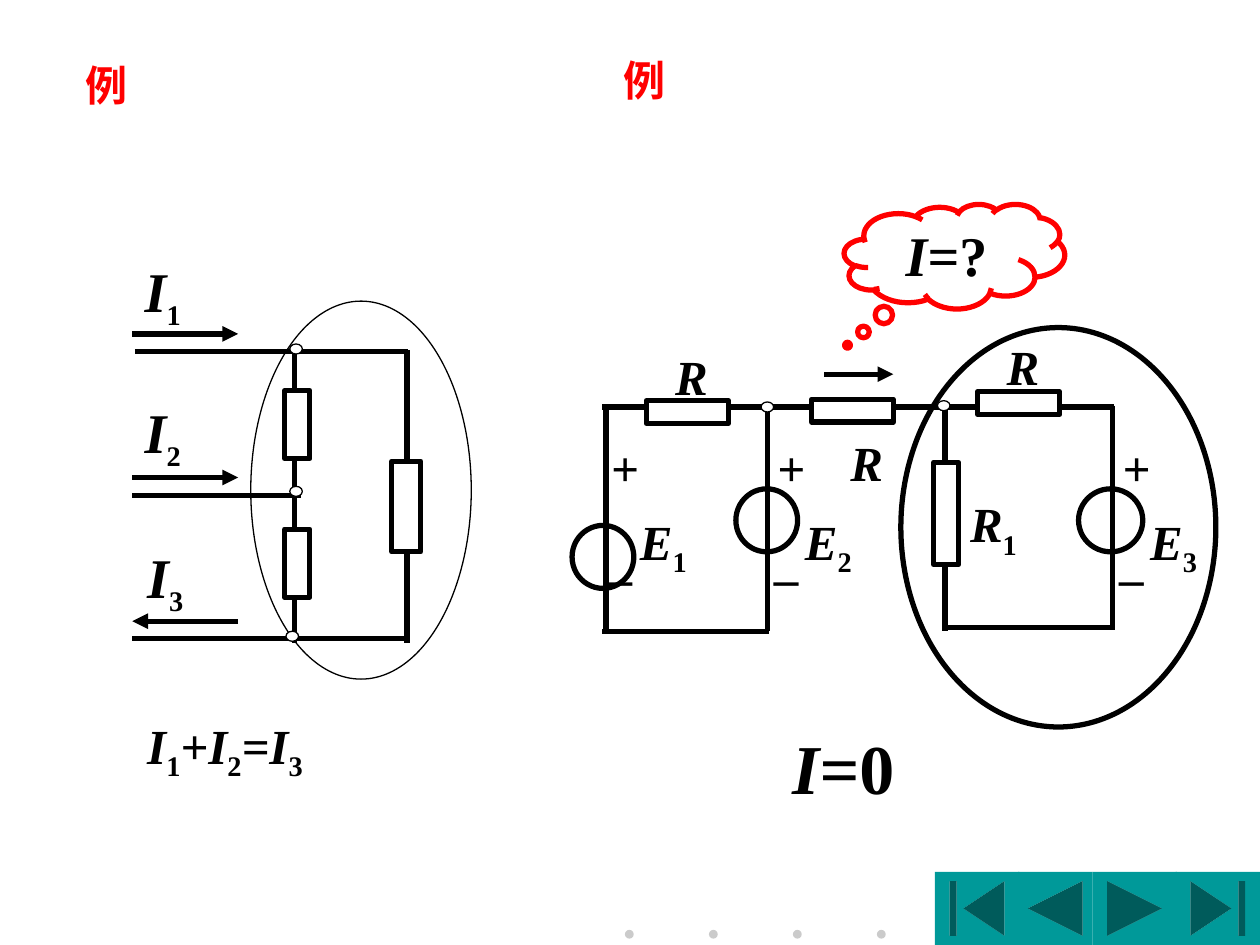
from pptx import Presentation, util as u
from pptx.dml.color import RGBColor
from pptx.enum import shapes as s, text as t
from pptx.oxml.ns import qn
from lxml import etree

BLACK = RGBColor(0, 0, 0)
WHITE = RGBColor(255, 255, 255)
RED = RGBColor(255, 0, 0)
TEAL = RGBColor(0, 153, 153)
GREY = RGBColor(203, 203, 203)
FONT = "Times New Roman"
SHAPE = s.MSO_SHAPE

# Content: runs are (text, style): i italic, n upright, s subscript
HEADING = [("例", "n")]
headings = [(0.58, 0.42), (4.85, 0.38)]
answers = [
    (1.07, 5.63, 1.49, 0.57, 28,
     [("I", "i"), ("1", "s"), ("+I", "i"), ("2", "s"), ("=I", "i"), ("3", "s")]),
    (6.19, 5.7, 1.01, 0.77, 40, [("I=", "i"), ("0", "n")]),
]
QUESTION = [("I", "i"), ("=?", "n")]
current_labels = [("1", 1.05, 1.99), ("2", 1.05, 3.11), ("3", 1.07, 4.26)]
circuit_labels = [
    ("R", "", 5.26, 2.7), ("R", "", 6.65, 3.38), ("R", "", 7.89, 2.62),
    ("R", "1", 7.6, 3.87),
    ("E", "1", 4.98, 4.01), ("E", "2", 6.29, 4.01), ("E", "3", 9.03, 4.01),
]
polarity_lefts = [4.75, 6.07, 8.81]
polarity_signs = [("+", 3.42, 0.42), ("_", 4.16, 0.4)]

# Circuit parts: boxes are left, top, width, height; wires are x1, y1, x2, y2
boundaries = [((1.99, 2.39, 1.75, 3), 0.75), ((7.15, 2.6, 2.5, 3.17), 3)]
sources = [(4.54, 4.17, 0.49, 0.5), (5.84, 3.88, 0.49, 0.5), (8.56, 3.88, 0.51, 0.5)]
wires = [
    (3.23, 2.78, 3.23, 5.1), (2.34, 2.81, 2.34, 4), (2.34, 3.91, 2.34, 5.1),
    (1.07, 2.79, 3.24, 2.79), (2.39, 3.93, 1.05, 3.93), (1.05, 5.07, 3.22, 5.07),
    (4.81, 3.24, 4.81, 5.01), (6.09, 3.24, 6.09, 5.01), (7.5, 3.24, 7.5, 5.01),
    (8.83, 3.22, 8.83, 4.98), (4.78, 3.23, 6.21, 3.23), (6.1, 3.23, 7.52, 3.23),
    (7.41, 3.23, 8.84, 3.23), (4.78, 5.01, 6.1, 5.01), (7.49, 4.98, 8.85, 4.98),
]
arrows = [(1.05, 2.65, 1.89, 2.65), (1.05, 3.79, 1.89, 3.79),
          (1.89, 4.93, 1.05, 4.93), (6.54, 2.97, 7.09, 2.97)]
resistors = [
    (3.11, 3.66, 0.23, 0.72), (2.26, 3.1, 0.2, 0.54), (2.26, 4.2, 0.2, 0.54),
    (5.13, 3.18, 0.65, 0.18), (6.44, 3.17, 0.65, 0.18), (7.76, 3.11, 0.65, 0.18),
    (7.41, 3.67, 0.2, 0.81),
]
nodes = [(2.3, 3.86), (2.3, 2.73), (2.27, 5.01), (6.04, 3.19), (7.44, 3.18)]
buttons = [
    (SHAPE.ACTION_BUTTON_BACK_OR_PREVIOUS, 8.08, 0.59),
    (SHAPE.ACTION_BUTTON_FORWARD_OR_NEXT, 8.67, 0.67),
    (SHAPE.ACTION_BUTTON_BEGINNING, 7.42, 0.67),
    (SHAPE.ACTION_BUTTON_END, 9.33, 0.67),
]

presentation = Presentation()
presentation.slide_width, presentation.slide_height = u.Inches(10), u.Inches(7.5)
slide = presentation.slides.add_slide(presentation.slide_layouts[6])


def inches(values):
    return [u.Inches(value) for value in values]


def add_shape(kind, box, fill=WHITE, line=BLACK, width=3):
    shape = slide.shapes.add_shape(kind, *inches(box))
    shape.shadow.inherit = False
    if fill is None:
        shape.fill.background()
    else:
        shape.fill.solid()
        shape.fill.fore_color.rgb = fill
    if line is None:
        shape.line.fill.background()
    else:
        shape.line.color.rgb = line
        shape.line.width = u.Pt(width)
    return shape


def add_wire(ends, arrow=False):
    wire = slide.shapes.add_connector(s.MSO_CONNECTOR.STRAIGHT, *inches(ends))
    wire.line.color.rgb = BLACK
    wire.line.width = u.Pt(3)
    if arrow:
        etree.SubElement(wire.line._get_or_add_ln(), qn("a:tailEnd"), type="triangle")
    etree.SubElement(wire._element.spPr, qn("a:effectLst"))


def write(frame, runs, size, color=BLACK, sub_size=None):
    frame.word_wrap = False
    for content, style in runs:
        run = frame.paragraphs[0].add_run()
        run.text = content
        points = sub_size if style == "s" and sub_size else size
        font_format = {"name": FONT, "size": u.Pt(points), "bold": True, "italic": style == "i"}
        for name, value in font_format.items():
            setattr(run.font, name, value)
        run.font.color.rgb = color
        if style == "s":
            run.font._element.set("baseline", "-25000")


def add_text(box, runs, size, **options):
    frame = slide.shapes.add_textbox(*inches(box)).text_frame
    write(frame, runs, size, **options)
    frame.auto_size = t.MSO_AUTO_SIZE.SHAPE_TO_FIT_TEXT


# Footer dots and navigation buttons
for index in range(4):
    add_shape(SHAPE.OVAL, (4.96 + index * 2 / 3, 7.38, 0.07, 0.07), GREY, None)
for kind, left, width in buttons:
    add_shape(kind, (left, 6.92, width, 0.58), TEAL, None)

# Headings and answers
for left, top in headings:
    add_text((left, top, 0.54, 0.5), HEADING, 24, color=RED)
for *box, size, runs in answers:
    add_text(box, runs, size)

# Question cloud
cloud = add_shape(SHAPE.CLOUD_CALLOUT, (6.7, 1.62, 1.75, 0.83), WHITE, RED)
cloud.adjustments[0], cloud.adjustments[1] = -0.485, 0.85
cloud.text_frame.vertical_anchor = t.MSO_ANCHOR.MIDDLE
cloud.text_frame.paragraphs[0].alignment = t.PP_ALIGN.CENTER
write(cloud.text_frame, QUESTION, 32)

# Circuits
for box, width in boundaries:
    add_shape(SHAPE.OVAL, box, None, width=width)
for box in sources:
    add_shape(SHAPE.OVAL, box)
for ends in wires:
    add_wire(ends)
for ends in arrows:
    add_wire(ends, arrow=True)
for box in resistors:
    add_shape(SHAPE.RECTANGLE, box)
for left, top in nodes:
    add_shape(SHAPE.OVAL, (left, top, 0.1, 0.08), width=0.75)

# Circuit labels
for number, left, top in current_labels:
    add_text((left, top, 0.51, 0.63), [("I", "i"), (number, "s")], 32, sub_size=28)
for letter, number, left, top in circuit_labels:
    runs = [(letter, "i")] + ([(number, "s")] if number else [])
    add_text((left, top, 0.59 if number else 0.46, 0.57), runs, 28)
for left in polarity_lefts:
    for sign, top, width in polarity_signs:
        add_text((left, top, width, 0.57), [(sign, "i")], 28)

presentation.save("out.pptx")
